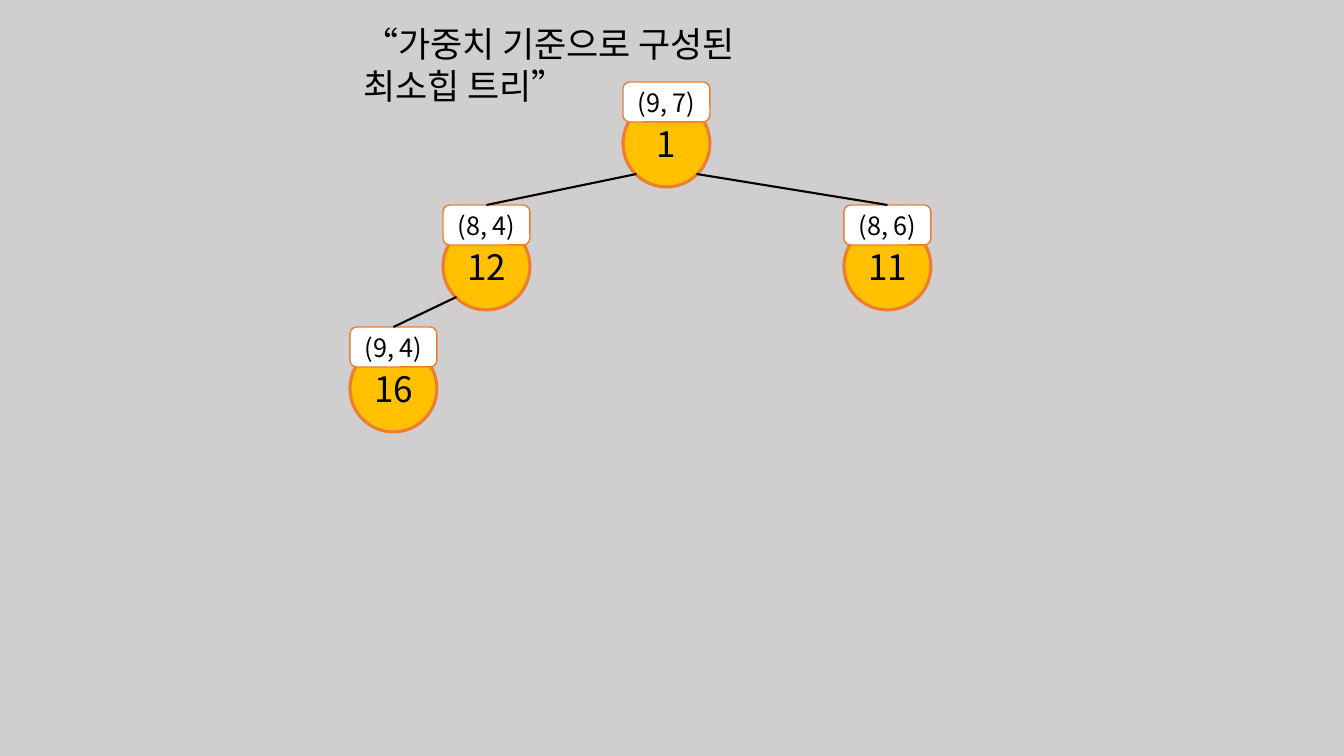
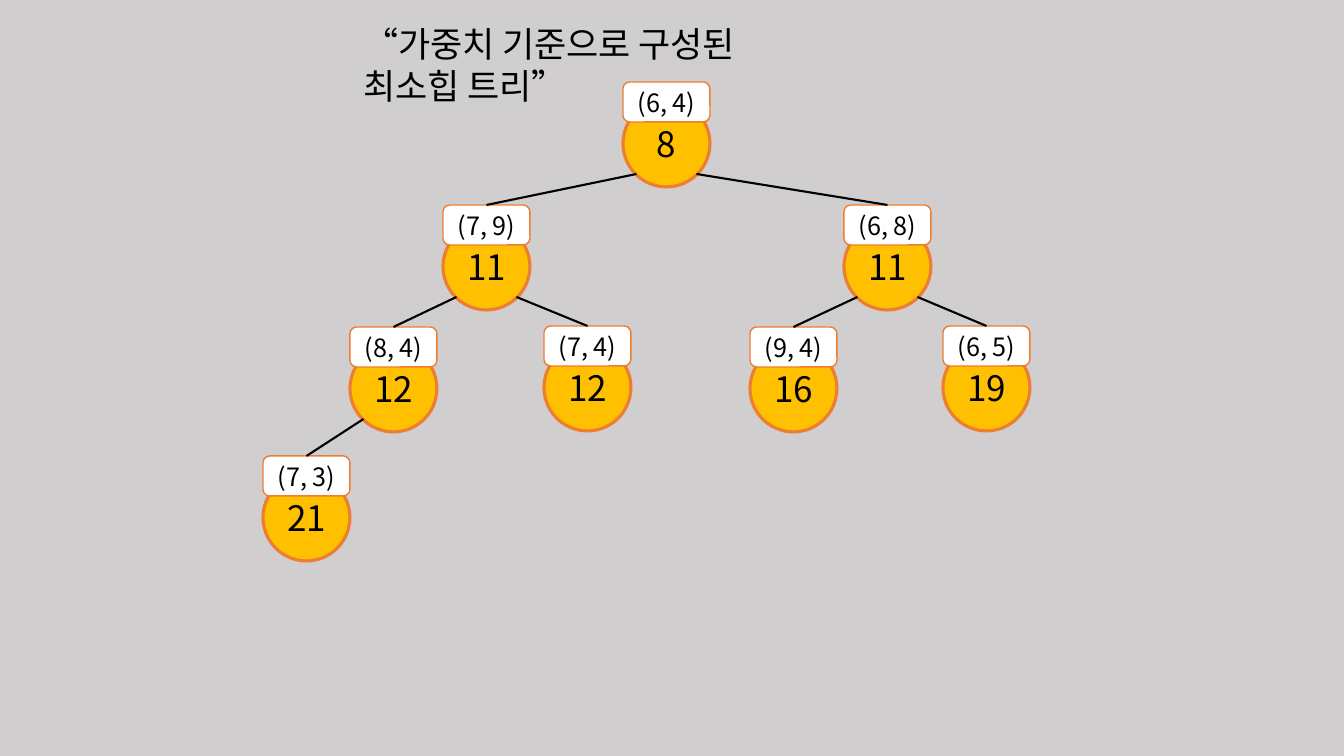
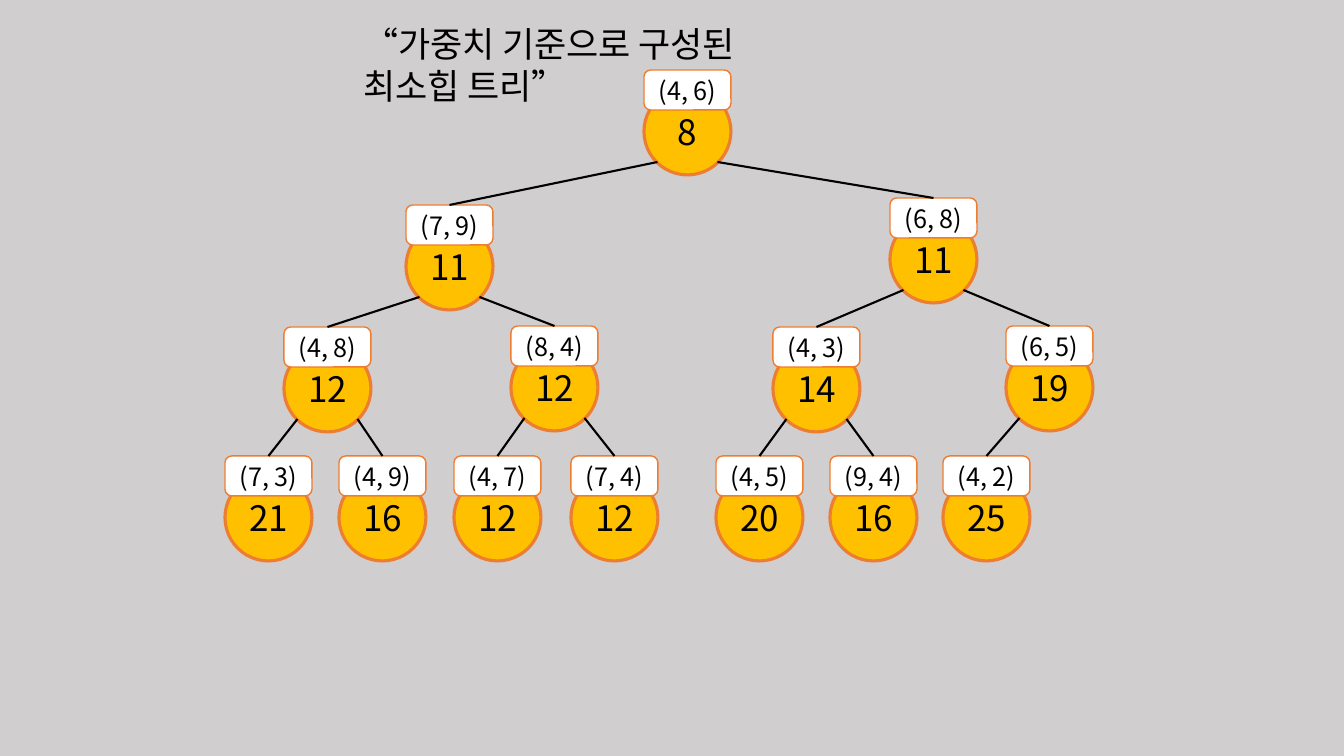
from dataclasses import dataclass

from lxml.etree import SubElement
from pptx import Presentation
from pptx.dml.color import RGBColor
from pptx.enum.shapes import MSO_CONNECTOR, MSO_SHAPE
from pptx.enum.text import MSO_ANCHOR, MSO_AUTO_SIZE, PP_ALIGN
from pptx.oxml.ns import qn
from pptx.util import Emu, Pt


@dataclass(frozen=True)
class Theme:
    background: RGBColor = RGBColor.from_string("D0CECE")
    text: RGBColor = RGBColor.from_string("000000")
    circle: RGBColor = RGBColor.from_string("FFC000")
    label: RGBColor = RGBColor.from_string("FFFFFF")
    outline: RGBColor = RGBColor.from_string("ED7D31")
    font: str = "Noto Sans CJK KR"
    large: int = 25
    small: int = 18


theme = Theme()
SCALE = 914400 / 100.8
DIAMETER = 87
LABEL_HEIGHT = 40
CIRCLE_DROP = 18
EDGE_DROP = 92
EDGE_SPREAD = 30
TITLE = "“가중치 기준으로 구성된 최소힙 트리”"

SMALL_TREE = [
    (623, 82), (443, 205), (844, 205), (350, 327),
    (544, 326), (750, 327), (943, 326), (263, 456),
]
LARGE_TREE = [
    (644, 70), (406, 205), (890, 198), (284, 327), (511, 326), (773, 327), (1006, 326),
    (225, 456), (339, 456), (454, 456), (571, 456), (716, 456), (830, 456), (943, 456),
]
HEAPS = [
    (SMALL_TREE, [(1, "(9, 7)"), (12, "(8, 4)"), (11, "(8, 6)"), (16, "(9, 4)")]),
    (SMALL_TREE, [
        (8, "(6, 4)"), (11, "(7, 9)"), (11, "(6, 8)"), (12, "(8, 4)"),
        (12, "(7, 4)"), (16, "(9, 4)"), (19, "(6, 5)"), (21, "(7, 3)"),
    ]),
    (LARGE_TREE, [
        (8, "(4, 6)"), (11, "(7, 9)"), (11, "(6, 8)"), (12, "(4, 8)"), (12, "(8, 4)"),
        (14, "(4, 3)"), (19, "(6, 5)"), (21, "(7, 3)"), (16, "(4, 9)"), (12, "(4, 7)"),
        (12, "(7, 4)"), (20, "(4, 5)"), (16, "(9, 4)"), (25, "(4, 2)"),
    ]),
]


def px(*values):
    return [Emu(round(v * SCALE)) for v in values]


def write(sp, text, size, align, anchor):
    tf = sp.text_frame
    tf.text = text
    tf.word_wrap = True
    tf.auto_size = MSO_AUTO_SIZE.NONE
    tf.vertical_anchor = anchor
    p = tf.paragraphs[0]
    p.alignment = align
    p.font.size = Pt(size)
    p.font.color.rgb = theme.text
    p.font.name = theme.font
    SubElement(p.font._element, qn("a:ea"), typeface=theme.font)


prs = Presentation()
prs.slide_width, prs.slide_height = px(1344, 756)
fill = prs.slide_master.background.fill
fill.solid()
fill.fore_color.rgb = theme.background

for places, nodes in HEAPS:
    s = prs.slides.add_slide(prs.slide_layouts[5])
    title = s.shapes.title
    title.left, title.top, title.width, title.height = px(353, 17, 480, 52)
    write(title, TITLE, theme.large, PP_ALIGN.LEFT, MSO_ANCHOR.TOP)

    for i, ((left, top), (weight, edge)) in enumerate(zip(places, nodes)):
        node = s.shapes.add_group_shape()
        for kind, drop, height, color, line_width, text, size in (
            (MSO_SHAPE.OVAL, CIRCLE_DROP, DIAMETER, theme.circle, 2.25, str(weight), theme.large),
            (MSO_SHAPE.ROUNDED_RECTANGLE, 0, LABEL_HEIGHT, theme.label, 1, edge, theme.small),
        ):
            sp = node.shapes.add_shape(kind, *px(left, top + drop, DIAMETER, height))
            sp.shadow.inherit = False
            sp.fill.solid()
            sp.fill.fore_color.rgb = color
            sp.line.color.rgb = theme.outline
            sp.line.width = Pt(line_width)
            tf = sp.text_frame
            tf.margin_left = tf.margin_right = tf.margin_top = tf.margin_bottom = 0
            write(sp, text, size, PP_ALIGN.CENTER, MSO_ANCHOR.MIDDLE)

        if i > 0:
            parent_left, parent_top = places[(i - 1) // 2]
            side = -1 if i % 2 else 1
            start = px(parent_left + DIAMETER / 2 + side * EDGE_SPREAD, parent_top + EDGE_DROP)
            line = s.shapes.add_connector(
                MSO_CONNECTOR.STRAIGHT, *start, *px(left + DIAMETER / 2, top))
            line.end_connect(sp, 0)
            line.line.color.rgb = theme.text
            line.line.width = Pt(1.5)
            SubElement(line._element.spPr, qn("a:effectLst"))

prs.save("out.pptx")
